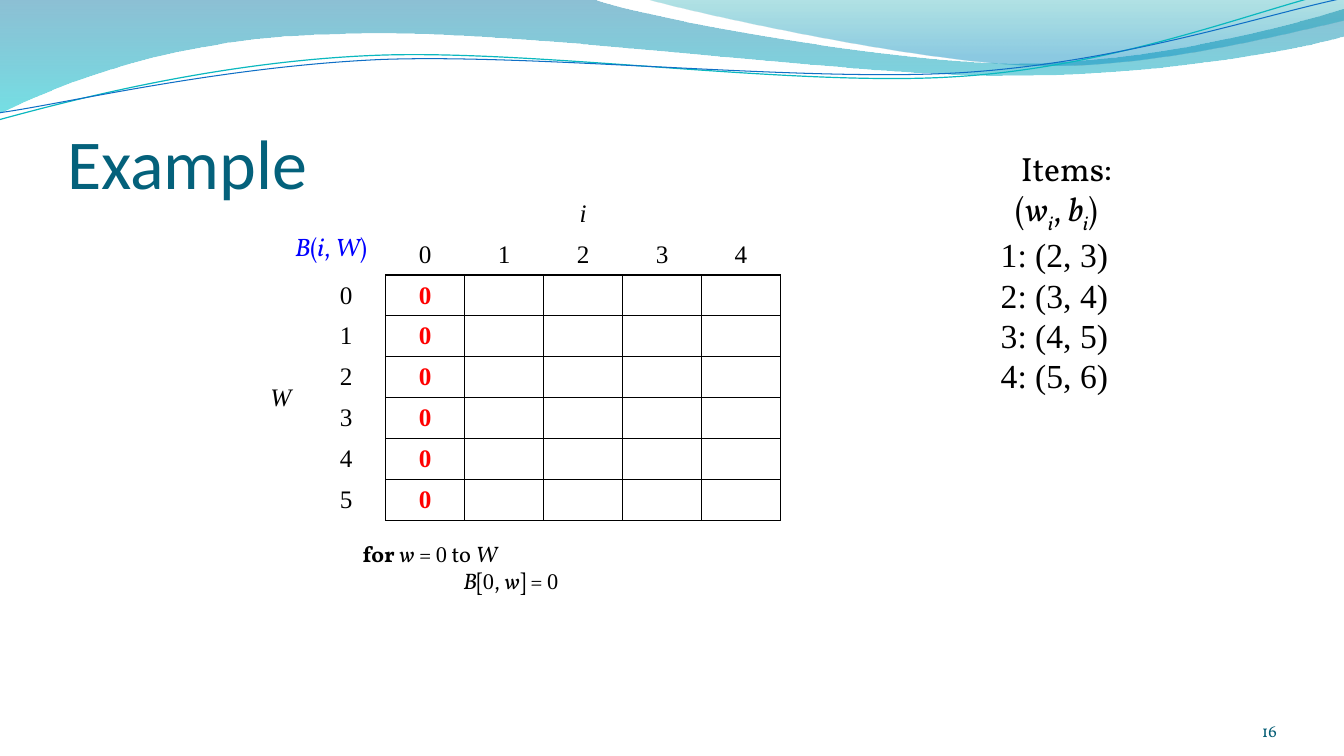
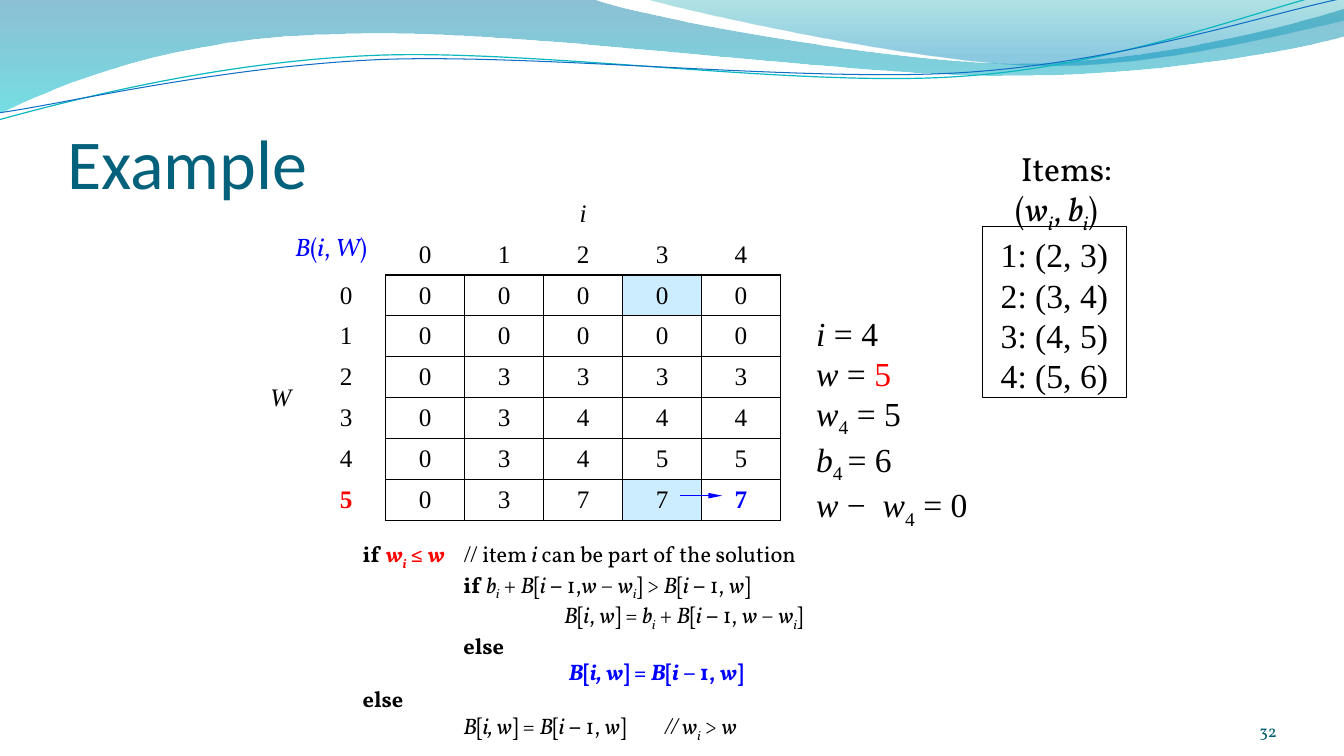
from lxml.etree import SubElement
from pptx import Presentation
from pptx.dml.color import RGBColor as RGB
from pptx.enum.shapes import MSO_CONNECTOR as CONN, MSO_SHAPE as SHAPE
from pptx.enum.text import MSO_ANCHOR as ANCHOR, MSO_AUTO_SIZE as FIT, PP_ALIGN as ALIGN
from pptx.oxml.ns import qn
from pptx.util import Cm, Pt

BLACK = RGB(0, 0, 0)
RED = RGB(0xFF, 0, 0)
BLUE = RGB(0, 0, 0xFF)
SKY = RGB(0xCC, 0xEC, 0xFF)
TITLE = RGB(0x04, 0x61, 0x7B)
NUMBER = RGB(0x04, 0x5D, 0x75)
WAVE_DARK = RGB(0, 0x74, 0xA1)
WAVE_CYAN = RGB(0, 0xC6, 0xCF)
WAVE_TEAL = RGB(0, 0xA1, 0xA9)
WAVE_BLUE = RGB(0, 0x8B, 0xBF)
LINE_TEAL = RGB(0x0A, 0xB8, 0xBF)
LINE_BLUE = RGB(0x0F, 0x6F, 0xC6)

SERIF, TIMES, SANS = "Vollkorn", "Times New Roman", "Calibri"
NO_STYLE = "{2D5ABB26-0587-4C30-8999-92F81FD0307C}"

# Each mark switches its format on and off inside a text.
MARKS = {
    "*": {"bold": True},
    "_": {"italic": True},
    "#": {"name": TIMES},
    "@": {"color": RED},
    "$": {"color": BLUE},
    "~": {"baseline": "-25000"},
}

# Outlines in cm: a start, then one point for a line or three for a curve.
BANDS = [
    ([((0, 0),), ((14.91, -0.03),),
      ((16.1, 0.43), (22.48, 1.6), (25.68, 1.6)),
      ((28.91, 1.6), (32.46, 0.66), (33.86, 0.23)), ((33.91, 0.91),),
      ((33.3, 1.12), (29.46, 1.93), (25.25, 1.91)),
      ((21.06, 1.91), (12.93, 0.71), (8.71, 0.86)),
      ((4.37, 0.91), (1.55, 2.11), (-0.03, 2.87)), ((0, 0),)],
     [(0, WAVE_DARK, 45), (1, WAVE_CYAN, 55)]),
    ([((16.23, -0.03),),
      ((17.25, 0.28), (23.09, 1.57), (26.04, 1.65)),
      ((28.98, 1.75), (32.56, 0.81), (33.86, 0.53)), ((33.86, 0),),
      ((16.23, -0.03),)],
     [(0, WAVE_TEAL, 30), (0.8, WAVE_BLUE, 45)]),
]
STROKES = [
    ([((-0.03, 3.02),),
      ((1.63, 2.57), (5.36, 1.57), (9.37, 1.4)),
      ((13.39, 1.22), (20.07, 2.21), (24.13, 1.93)),
      ((28.19, 1.68), (31.8, 0.2), (33.81, -0.25))], LINE_TEAL, 0.85),
    ([((0, 2.84),),
      ((1.6, 2.62), (5.54, 1.68), (9.6, 1.5)),
      ((13.64, 1.35), (20.22, 2.08), (24.26, 1.83)),
      ((28.32, 1.57), (31.88, 0.36), (33.88, -0.05))], LINE_BLUE, 0.75),
]

ITEMS = ["Items:", "(_w~i~_, _b~i~_)"] + [
    f"#{n}: ({n + 1}, {n + 2})#" for n in range(1, 5)]


def marked_runs(text):
    """Yield each stretch of text with the marks that are on there."""
    on, part = set(), ""
    for ch in text:
        if ch not in MARKS:
            part += ch
            continue
        if part:
            yield part, set(on)
        part = ""
        on ^= {ch}
    if part:
        yield part, on


def write(p, text, **base):
    for part, on in marked_runs(text):
        r = p.add_run()
        r.text = part
        fmt = dict(base)
        for mark in on:
            fmt.update(MARKS[mark])
        for key, value in fmt.items():
            if key == "color":
                r.font.color.rgb = value
            elif key == "baseline":
                r._r.get_or_add_rPr().set(key, value)
            else:
                setattr(r.font, key, value)


def set_frame(tf, **values):
    for key, value in values.items():
        setattr(tf, key, value)


class Deck:
    """Shared style and the current slide; all lengths are in cm."""

    def __init__(self):
        self.prs = Presentation()
        self.prs.slide_width, self.prs.slide_height = Cm(33.87), Cm(19.05)
        self.layout = self.prs.slide_layouts[5]
        self.slide = None

    def add_slide(self, title, number):
        first = self.slide is None
        self.slide = self.prs.slides.add_slide(self.layout)
        if first:
            self.waves()
        self.title(title)
        self.text((29.36, 17.65, 2.82, 1.02), [number], size=12, color=NUMBER,
                  align=ALIGN.RIGHT, vertical_anchor=ANCHOR.BOTTOM, margin_left=0,
                  margin_right=0, margin_top=0, margin_bottom=0)

    def waves(self):
        """Draw the header waves and hand them to the layout."""
        shapes = []
        for segments, stops in BANDS:
            sp = self.outline(segments, True)
            sp.line.fill.background()
            sp.fill.gradient()
            sp.fill.gradient_angle = 270
            for stop, (position, color, _) in zip(sp.fill.gradient_stops, stops):
                stop.position = position
                stop.color.rgb = color
            for clr, (_, _, alpha) in zip(sp.element.iter(qn("a:srgbClr")), stops):
                SubElement(clr, qn("a:alpha"), val=str(alpha * 1000))
            shapes.append(sp)
        for segments, color, width in STROKES:
            sp = self.outline(segments, False)
            sp.fill.background()
            sp.line.color.rgb, sp.line.width = color, Pt(width)
            shapes.append(sp)
        for n, sp in enumerate(shapes):
            next(sp.element.iter(qn("p:cNvPr"))).set("id", str(100 + n))
            self.layout.shapes.element.insert(2 + n, sp.element)

    def outline(self, segments, close):
        """Build a freeform, then join each three-point segment into a curve."""
        points = [(Cm(x), Cm(y)) for seg in segments for x, y in seg]
        builder = self.slide.shapes.build_freeform(*points[0], scale=1.0)
        builder.add_line_segments(points[1:], close=close)
        sp = builder.convert_to_shape()
        sp.shadow.inherit = False
        steps = iter(list(sp.element.iter(qn("a:lnTo"))))
        for seg in segments[1:]:
            group = [next(steps) for _ in seg]
            if len(group) == 3:
                path = group[0].getparent()
                curve = SubElement(path, qn("a:cubicBezTo"))
                path.insert(path.index(group[0]), curve)
                for step in group:
                    curve.append(step[0])
                    path.remove(step)
        return sp

    def title(self, text):
        sp = self.slide.shapes.title
        sp.left, sp.top, sp.width, sp.height = map(Cm, (1.69, 1.96, 30.48, 3.18))
        set_frame(sp.text_frame, margin_left=0, margin_right=0, margin_top=Cm(0.13),
                  margin_bottom=0, vertical_anchor=ANCHOR.BOTTOM, auto_size=FIT.NONE)
        p = sp.text_frame.paragraphs[0]
        p.alignment = ALIGN.LEFT
        write(p, text, name=SANS, size=Pt(50), color=TITLE)

    def text(self, box, lines, size, name=SERIF, color=BLACK, align=ALIGN.LEFT,
             tabs=(), **frame):
        """Write one marked text per paragraph; return the paragraphs."""
        tf = self.slide.shapes.add_textbox(*map(Cm, box)).text_frame
        set_frame(tf, word_wrap=True, **frame)
        for n, line in enumerate(lines):
            p = tf.add_paragraph() if n else tf.paragraphs[0]
            p.alignment = align
            p.line_spacing = Pt((1.36 if "~" in line else 1.2) * size)
            if tabs:
                stops = SubElement(p._p.get_or_add_pPr(), qn("a:tabLst"))
                for pos in tabs:
                    SubElement(stops, qn("a:tab"), pos=str(Cm(pos)), algn="l")
            write(p, line, name=name, size=Pt(size), color=color)
        return tf.paragraphs

    def code(self, lines, height):
        self.text((8.89, 13.49, 14.6, height), lines, size=16, tabs=(2.54, 5.08, 7.62))

    def items(self):
        ps = self.text((24.97, 3.61, 3.81, 6.4), ITEMS, size=24)
        ps[0].alignment = ALIGN.CENTER
        ps[1]._p.get_or_add_pPr().set("marL", str(Cm(0.36)))

    def grid(self, rows, shaded=()):
        """Draw the table B(i, W); each row is a label and five values."""
        cells = [["", "", "_i_", "", "", "", ""], ["", "", *"01234"]]
        cells += [["" if n else "_W_", *row] for n, row in enumerate(rows)]
        col, row_height = 1.99, 1.03
        tbl = self.slide.shapes.add_table(
            8, 7, Cm(6.43), Cm(4.87), Cm(1.3 + 6 * col), Cm(8 * row_height)).table
        tbl.first_row = tbl.horz_banding = False
        next(tbl._tbl.iter(qn("a:tableStyleId"))).text = NO_STYLE
        for n, column in enumerate(tbl.columns):
            column.width = Cm(col if n else 1.3)
        for row in tbl.rows:
            row.height = Cm(row_height)
        tbl.cell(0, 2).merge(tbl.cell(0, 6))
        tbl.cell(2, 0).merge(tbl.cell(7, 0))
        for y, row in enumerate(cells):
            for x, text in enumerate(row):
                cell = tbl.cell(y, x)
                cell.vertical_anchor = ANCHOR.MIDDLE
                if y > 1 and x > 1:
                    self.borders(cell)
                if (y - 2, x - 2) in shaded:
                    cell.fill.solid()
                    cell.fill.fore_color.rgb = SKY
                else:
                    cell.fill.background()
                p = cell.text_frame.paragraphs[0]
                p.alignment = ALIGN.CENTER
                write(p, text, name=TIMES, size=Pt(18), color=BLACK)
        self.text((7.19, 5.7, 2.54, 1.02), ["_B_(_i_, _W_)"], size=18, color=BLUE)

    def borders(self, cell):
        tc_pr = cell._tc.get_or_add_tcPr()
        for side in "LRTB":
            ln = SubElement(tc_pr, qn(f"a:ln{side}"), w=str(Pt(1)))
            SubElement(SubElement(ln, qn("a:solidFill")), qn("a:srgbClr"), val=str(BLACK))

    def frame(self, box):
        sp = self.slide.shapes.add_shape(SHAPE.RECTANGLE, *map(Cm, box))
        sp.shadow.inherit = False
        sp.fill.background()
        sp.line.color.rgb, sp.line.width = BLACK, Pt(0.75)

    def arrow(self, *ends):
        cxn = self.slide.shapes.add_connector(CONN.STRAIGHT, *map(Cm, ends))
        cxn.line.color.rgb, cxn.line.width = BLUE, Pt(0.75)
        SubElement(cxn.line._get_or_add_ln(), qn("a:tailEnd"),
                   type="triangle", w="sm", len="lg")
        SubElement(cxn.element.spPr, qn("a:effectLst"))


def first_column_slide(deck):
    deck.add_slide("Example", "16")
    deck.grid([[label, "*@0@*", "", "", "", ""] for label in "012345"])
    deck.code(["*for *_w_ = #0# to _W_", "\t_B_[#0#, _w_] = #0#"], 1.63)
    deck.items()


def last_cell_slide(deck):
    deck.add_slide("Example", "32")
    deck.grid(["000000", "100000", "203333", "303444", "403455",
               ["*@5@*", *"0377", "*$7$*"]], shaded={(0, 3), (5, 3)})
    deck.code([
        "*if @_w~i~ _≤ _w_@*\t// item _i_ can be part of the solution",
        "\t*if *_b~i~_ + _B_[_i_* − *1,_w _− _w~i~_] > _B_[_i_* − *1, _w_]",
        "\t\t_B_[_i_, _w_] = _b~i~_ + _B_[_i_* − *1, _w _− _w~i~_]",
        "\t*else*",
        "\t\t *$_B_[_i, w_] = _B_[_i_ − 1, _w_]$*",
        "*else*",
        "\t_B_[_i, w_] = _B_[_i_* − *1, _w_]\t_// w~i~ _> _w_",
    ], 5.13)
    deck.items()
    deck.text((20.32, 7.75, 5.28, 5.38), [
        "_i _= 4", "_w _= @5@", "_w_~4~ = 5", "_b_~4 ~= 6", "_w _−  _w_~4~ = 0",
    ], size=24, name=TIMES)
    deck.frame((24.77, 5.72, 3.61, 4.29))
    deck.arrow(17.15, 12.49, 18.2, 12.49)


def main():
    deck = Deck()
    first_column_slide(deck)
    last_cell_slide(deck)
    deck.prs.save("out.pptx")


if __name__ == "__main__":
    main()
